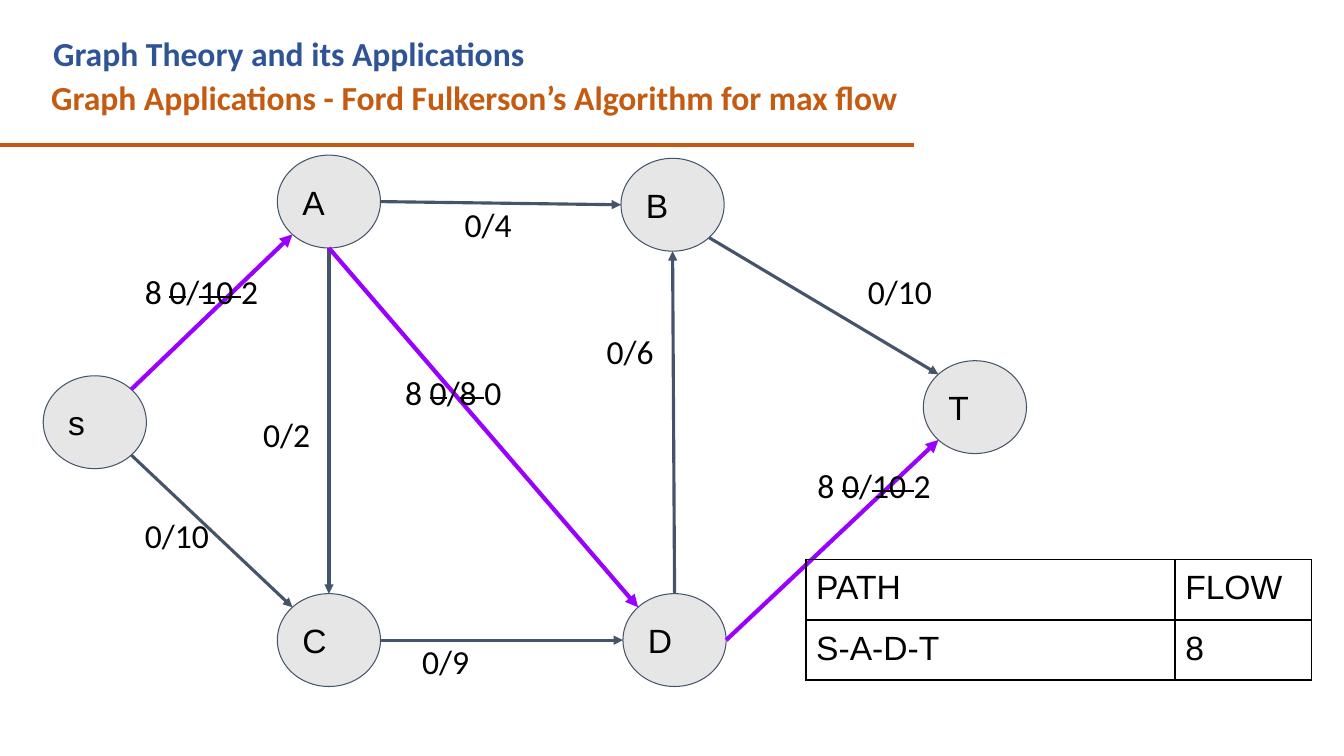
import math

import lxml.etree
import pptx
import pptx.dml.color
import pptx.enum.shapes
import pptx.enum.text
import pptx.oxml
import pptx.oxml.ns
import pptx.util

Cm = pptx.util.Cm
Pt = pptx.util.Pt
BLACK, ORANGE, BLUE = "000000", "C55A11", "2F5496"
NODE_FILL, EDGE, FLOW_EDGE = "E7E6E6", "44546A", "9900FF"
TOP_ANCHOR = pptx.enum.text.MSO_ANCHOR.TOP
MIDDLE_ANCHOR = pptx.enum.text.MSO_ANCHOR.MIDDLE

HEADING = {"name": "Calibri", "size": Pt(24), "bold": True}
LABEL = {"name": "Calibri", "size": Pt(24), "bold": False}
NODE = {"name": "Arial", "size": Pt(24), "bold": False}

NODE_WIDTH, NODE_HEIGHT = 2.6, 2.34
NODES = {
    "s": (1.09, 9.47),
    "C": (6.99, 14.96),
    "A": (6.99, 3.91),
    "D": (15.7, 14.96),
    "B": (15.65, 3.99),
    "T": (23.27, 9.09),
}
EDGES = [
    ("s", 45, "A", 225, True),
    ("A", 0, "B", 180, False),
    ("B", -45, "T", 135, False),
    ("D", 0, "T", 225, True),
    ("C", 0, "D", 180, False),
    ("s", -45, "C", 135, False),
    ("D", 90, "B", -90, False),
    ("A", -90, "C", 90, False),
    ("A", -90, "D", 135, True),
]
# Every second piece of a label is struck through.
LABELS = [
    (["8 ", "0", "/", "10 ", "2"], 3.4, 6.58, 4.06),
    (["0/10"], 3.4, 12.73, 2.6),
    (["8 ", "0", "/", "10 ", "2"], 20.35, 11.46, 5.33),
    (["0/10"], 21.62, 6.58, 2.6),
    (["0/6"], 15.04, 8.08, 2.6),
    (["8 ", "0", "/", "8 ", "0"], 9.96, 9.12, 4.06),
    (["0/9"], 10.39, 15.9, 2.6),
    (["0/2"], 6.38, 10.19, 2.6),
    (["0/4"], 11.46, 4.9, 2.6),
]
ROWS = [("PATH", "FLOW"), ("S-A-D-T", "8")]


def color(value):
    return pptx.dml.color.RGBColor.from_string(value)


def write(frame, pieces, values, ink, anchor=TOP_ANCHOR, inset=0.25):
    settings = {
        "word_wrap": True,
        "auto_size": pptx.enum.text.MSO_AUTO_SIZE.NONE,
        "vertical_anchor": anchor,
        "margin_left": Cm(0.25),
        "margin_right": Cm(0.25),
        "margin_top": Cm(inset),
        "margin_bottom": Cm(inset),
    }
    for name, value in settings.items():
        setattr(frame, name, value)
    paragraph = frame.paragraphs[0]
    paragraph.alignment = pptx.enum.text.PP_ALIGN.LEFT
    for index, piece in enumerate(pieces):
        run = paragraph.add_run()
        run.text = piece
        for name, value in values.items():
            setattr(run.font, name, value)
        run.font.color.rgb = color(ink)
        if index % 2:
            run._r.get_or_add_rPr().set("strike", "sngStrike")


def place(shape, left, top, width, height):
    bounds = {"left": left, "top": top, "width": width, "height": height}
    for name, value in bounds.items():
        setattr(shape, name, Cm(value))


def add_label(slide, pieces, left, top, width, height=1.55):
    shape = slide.shapes.add_textbox(Cm(left), Cm(top), Cm(width), Cm(height))
    write(shape.text_frame, pieces, LABEL, BLACK)


def add_headings(slide):
    title = slide.shapes.title
    place(title, 1.04, 1.8, 22.23, 1.27)
    write(title.text_frame, ["Graph Applications - Ford Fulkerson’s Algorithm for max flow"],
          HEADING, ORANGE, inset=0.13)
    title.text_frame.paragraphs[0].line_spacing = 1.0
    course = slide.shapes.add_textbox(Cm(1.09), Cm(0.71), Cm(20.83), Cm(1.27))
    write(course.text_frame, ["Graph Theory and its Applications"], HEADING, BLUE, inset=0.13)


def add_line(slide, start, end, ink, weight, arrow=False):
    line = slide.shapes.add_connector(
        pptx.enum.shapes.MSO_CONNECTOR.STRAIGHT, *map(Cm, start + end))
    line.line.color.rgb = color(ink)
    line.line.width = Pt(weight)
    if arrow:
        tail = lxml.etree.SubElement(line.line._get_or_add_ln(), pptx.oxml.ns.qn("a:tailEnd"))
        tail.set("type", "triangle")
    lxml.etree.SubElement(line._element.spPr, pptx.oxml.ns.qn("a:effectLst"))


def add_node(slide, name, left, top):
    shape = slide.shapes.add_shape(pptx.enum.shapes.MSO_SHAPE.OVAL, Cm(left), Cm(top),
                                   Cm(NODE_WIDTH), Cm(NODE_HEIGHT))
    shape.shadow.inherit = False
    shape.fill.solid()
    shape.fill.fore_color.rgb = color(NODE_FILL)
    shape.line.color.rgb = color(EDGE)
    shape.line.width = Pt(0.75)
    write(shape.text_frame, [name], NODE, BLACK, MIDDLE_ANCHOR)


def rim_point(name, degrees):
    left, top = NODES[name]
    angle = math.radians(degrees)
    return (left + NODE_WIDTH / 2 * (1 + math.cos(angle)),
            top + NODE_HEIGHT / 2 * (1 - math.sin(angle)))


def add_borders(cell):
    properties = cell._tc.get_or_add_tcPr()
    for index, side in enumerate(("lnL", "lnR", "lnT", "lnB")):
        border = pptx.oxml.parse_xml(
            f'<a:{side} {pptx.oxml.ns.nsdecls("a")} w="{Pt(1.5)}"><a:solidFill>'
            f'<a:srgbClr val="{BLACK}"/></a:solidFill></a:{side}>')
        properties.insert(index, border)


def add_flow_table(slide):
    widths, row_height = (9.3, 3.43), 1.52
    table = slide.shapes.add_table(len(ROWS), len(widths), Cm(20.32), Cm(14.1),
                                   Cm(sum(widths)), Cm(row_height * len(ROWS))).table
    table.first_row = table.horz_banding = False
    for column, width in zip(table.columns, widths):
        column.width = Cm(width)
    for row, texts in zip(table.rows, ROWS):
        row.height = Cm(row_height)
        for cell, text in zip(row.cells, texts):
            for side in ("left", "right", "top", "bottom"):
                setattr(cell, f"margin_{side}", Cm(0.25))
            cell.fill.background()
            add_borders(cell)
            run = cell.text_frame.paragraphs[0].add_run()
            run.text = text
            for name, value in NODE.items():
                setattr(run.font, name, value)
            run.font.color.rgb = color(BLACK)


def main():
    presentation = pptx.Presentation()
    presentation.slide_width = Cm(33.87)
    presentation.slide_height = Cm(19.05)
    slide = presentation.slides.add_slide(presentation.slide_layouts[5])
    add_headings(slide)
    add_line(slide, (0, 3.66), (23.04, 3.66), ORANGE, 3)
    for name, (left, top) in NODES.items():
        add_node(slide, name, left, top)
    for source, leave, target, arrive, on_path in EDGES:
        ink, weight = (FLOW_EDGE, 3) if on_path else (EDGE, 2.25)
        add_line(slide, rim_point(source, leave), rim_point(target, arrive), ink, weight, True)
    for label in LABELS:
        add_label(slide, *label)
    add_flow_table(slide)
    presentation.save("out.pptx")


if __name__ == "__main__":
    main()
